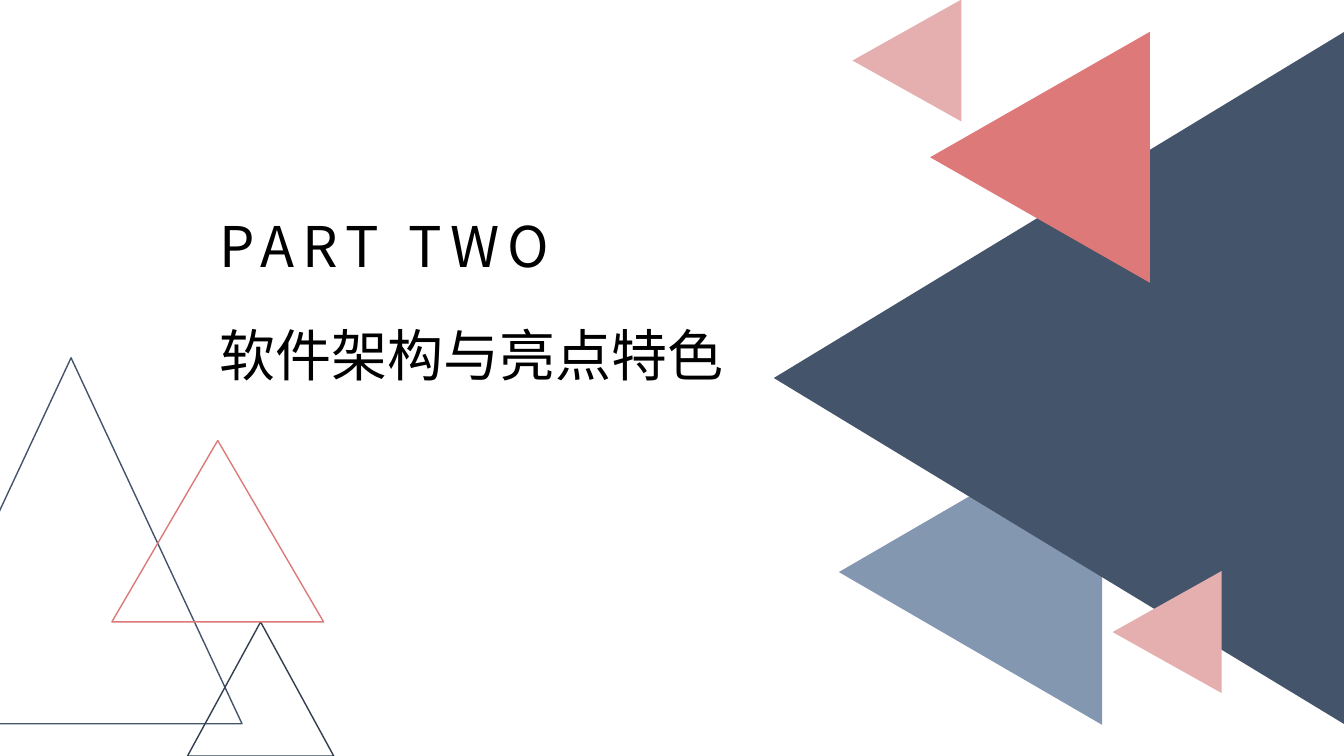
from dataclasses import dataclass

from lxml.etree import SubElement
from pptx import Presentation
from pptx.dml.color import RGBColor
from pptx.enum.shapes import MSO_SHAPE
from pptx.enum.text import MSO_AUTO_SIZE
from pptx.oxml.ns import qn
from pptx.util import Inches, Pt


@dataclass(frozen=True)
class Theme:
    navy: str = "44546A"
    dark_navy: str = "333F50"
    steel: str = "8497B0"
    coral: str = "DD7979"
    blush: str = "E5AFAF"
    text: str = "000000"
    font: str = "Noto Sans CJK SC"
    title_size: int = 40
    outline_width: int = 1


THEME = Theme()

# left, top, width, height before the quarter turn, colour
SOLID_TRIANGLES = [
    (8.11, 4.37, 3.03, 2.61, THEME.steel),
    (7.07, 0.92, 6.87, 5.66, THEME.navy),
    (9.07, 0.47, 2.49, 2.18, THEME.coral),
    (8.39, 0.06, 1.21, 1.08, THEME.blush),
    (10.97, 5.73, 1.21, 1.08, THEME.blush),
]
OUTLINE_TRIANGLES = [
    (-0.99, 3.55, 3.39, 3.63, THEME.navy),
    (1.86, 6.17, 1.45, 1.33, THEME.dark_navy),
    (1.11, 4.37, 2.1, 1.8, THEME.coral),
]


def add_triangle(slide, left, top, width, height):
    triangle = slide.shapes.add_shape(
        MSO_SHAPE.ISOSCELES_TRIANGLE,
        Inches(left), Inches(top), Inches(width), Inches(height))
    triangle.shadow.inherit = False
    return triangle


def add_solid_triangle(slide, left, top, width, height, color):
    """Add a filled triangle that points to the left."""
    triangle = add_triangle(slide, left, top, width, height)
    triangle.rotation = 270
    triangle.fill.solid()
    triangle.fill.fore_color.rgb = RGBColor.from_string(color)
    triangle.line.fill.background()


def add_outline_triangle(slide, left, top, width, height, color):
    triangle = add_triangle(slide, left, top, width, height)
    triangle.fill.background()
    triangle.line.color.rgb = RGBColor.from_string(color)
    triangle.line.width = Pt(THEME.outline_width)


def add_heading(slide, text, top, width, line_spacing=None, tracking=None):
    """Add one heading line; tracking is letter spacing in points."""
    heading = slide.shapes.add_textbox(
        Inches(2.11), Inches(top), Inches(width), Inches(0.86))
    frame = heading.text_frame
    frame.word_wrap = True
    frame.auto_size = MSO_AUTO_SIZE.SHAPE_TO_FIT_TEXT
    frame.margin_left = frame.margin_right = Inches(0.07)
    frame.margin_top = frame.margin_bottom = Inches(0.07)
    frame.text = text
    paragraph = frame.paragraphs[0]
    paragraph.line_spacing = line_spacing
    run = paragraph.runs[0]
    run.font.size = Pt(THEME.title_size)
    run.font.color.rgb = RGBColor.from_string(THEME.text)
    run.font.name = THEME.font
    properties = run.font._element
    SubElement(properties, qn("a:ea")).set("typeface", THEME.font)
    if tracking:
        properties.set("spc", str(tracking * 100))


def main():
    deck = Presentation()
    deck.slide_width, deck.slide_height = Inches(13.33), Inches(7.5)
    slide = deck.slides.add_slide(deck.slide_layouts[6])
    for triangle in SOLID_TRIANGLES:
        add_solid_triangle(slide, *triangle)
    for triangle in OUTLINE_TRIANGLES:
        add_outline_triangle(slide, *triangle)
    add_heading(slide, "软件架构与亮点特色", 2.91, 5.56, line_spacing=1.3)
    add_heading(slide, "PART TWO", 2.03, 4.56, tracking=6)
    deck.save("out.pptx")


if __name__ == "__main__":
    main()
